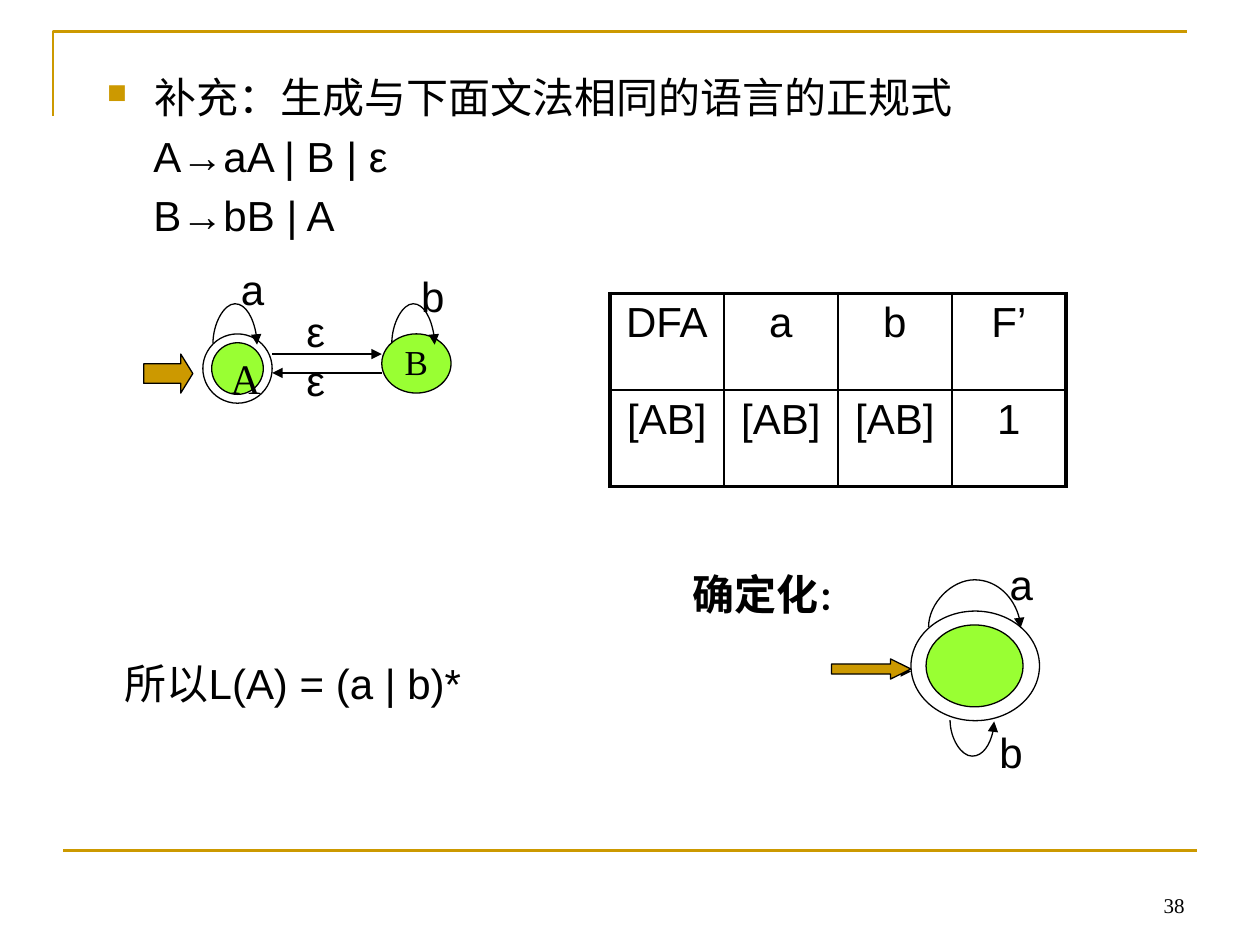
"""Build a slide that turns a grammar into an automaton, its DFA and a regular expression."""
from lxml.etree import SubElement
from pptx import Presentation
from pptx.dml.color import RGBColor
from pptx.enum.shapes import MSO_CONNECTOR, MSO_SHAPE
from pptx.enum.text import MSO_ANCHOR, PP_ALIGN
from pptx.oxml.ns import qn
from pptx.util import Inches, Pt

HUES = {"ink": "000000", "gold": "CC9900", "lime": "99FF33", "white": "FFFFFF"}
SANS, SERIF = "Arial", "Times New Roman"
BASE = {"name": SANS, "size": Pt(24), "bold": False}
ROMAN = {"name": SERIF}
BOLD = {"bold": True}
TIGHT = {"line_spacing": 0.9}
THIN, THICK = 0.75, 2.25

RULES = ["补充：生成与下面文法相同的语言的正规式", "A→aA | B | ε", "B→bB | A"]
GRID = [["DFA", "a", "b", "F’"], ["[AB]", "[AB]", "[AB]", "1"]]
FRAME = [(0.42, 0.92), (0.42, 0.25), (9.42, 0.25)]
NODES = [
    ("OVAL", "lime", 3.03, 2.65, 0.55, 0.47, ()),
    ("OVAL", "white", 1.61, 2.65, 0.55, 0.55, ()),
    ("OVAL", "lime", 1.68, 2.72, 0.41, 0.41, ()),
    ("RIGHT_ARROW", "gold", 1.14, 2.81, 0.39, 0.31, (0.5, 0.31)),
    ("OVAL", "white", 7.23, 4.85, 1.02, 0.87, ()),
    ("OVAL", "lime", 7.35, 4.96, 0.77, 0.65, ()),
]
ENTRY = ("RIGHT_ARROW", "gold", 6.6, 5.23, 0.63, 0.16, (0.5, 1.01))
EDGES = [
    (1.68, 2.72, 1.68, 2.72),
    (2.16, 2.81, 3.03, 2.81),
    (3.03, 2.96, 2.16, 2.96),
    (7.35, 4.96, 7.35, 4.96),
    (6.99, 5.33, 7.23, 5.33),
]
LOOPS = [
    (1.69, 2.04, 2.73, -0.32),
    (3.11, 3.45, 2.73, -0.32),
    (7.37, 8.1, 4.98, -0.38),
    (7.54, 7.89, 5.72, 0.29),
]
LABELS = [
    ([("所以L(A) = (a | b)*", {})], 0.83, 5.17, 2.99, 0.5, {}),
    ([("B", ROMAN | {"size": Pt(20)})], 3.03, 2.65, 0.55, 0.47, {}),
    ([("A", ROMAN)], 1.73, 2.75, 0.41, 0.41, {}),
    ([("a", {})], 1.81, 2.04, 0.39, 0.5, {}),
    ([("b", {})], 3.24, 2.1, 0.39, 0.5, {}),
    ([("ε", {})], 2.3, 2.81, 0.41, 0.46, TIGHT),
    ([("ε", {})], 2.3, 2.42, 0.41, 0.46, TIGHT),
    ([("a", {})], 7.91, 4.38, 0.39, 0.5, {}),
    ([("b", {})], 7.83, 5.72, 0.39, 0.5, {}),
    ([("确定化", BOLD), ("：", BOLD | {"size": Pt(18)})], 5.39, 4.46, 1.46, 0.5, {}),
]


def tint(hue):
    return RGBColor.from_string(HUES[hue])


def apply(item, looks):
    for key, value in looks.items():
        setattr(item, key, value)


def write(para, text, looks):
    run = para.add_run()
    run.text = text
    apply(run.font, BASE | looks)
    run.font.color.rgb = tint("ink")


def stroke(item, hue="ink", width=THIN):
    item.line.color.rgb = tint(hue)
    item.line.width = Pt(width)


def add_box(shapes, spot, wrap=False):
    frame = shapes.add_textbox(*map(Inches, spot)).text_frame
    frame.word_wrap = wrap
    return frame


def add_node(shapes, kind, hue, x, y, w, h, bends):
    node = shapes.add_shape(getattr(MSO_SHAPE, kind), *map(Inches, (x, y, w, h)))
    node.shadow.inherit = False
    node.fill.solid()
    node.fill.fore_color.rgb = tint(hue)
    stroke(node)
    for i, bend in enumerate(bends):
        node.adjustments[i] = bend


def add_line(shapes, ends, kind=MSO_CONNECTOR.STRAIGHT, hue="ink", width=THIN, tip=True):
    line = shapes.add_connector(kind, *map(Inches, ends))
    stroke(line, hue, width)
    props = line._element.spPr
    if tip:
        SubElement(props.find(qn("a:ln")), qn("a:tailEnd"), type="triangle")
    SubElement(props, qn("a:effectLst"))
    return line


def add_loop(shapes, left, right, y, rise):
    thin = 0.01
    mid, half = (left + right) / 2, (right - left) / 2
    ends = (mid - thin / 2, y + half, mid + thin / 2, y - half)
    props = add_line(shapes, ends, MSO_CONNECTOR.CURVE)._element.spPr
    props.find(qn("a:xfrm")).set("rot", "5400000")
    geom = props.find(qn("a:prstGeom"))
    guides = geom.find(qn("a:avLst"))
    if guides is None:
        guides = SubElement(geom, qn("a:avLst"))
    bend = round(rise / thin * 100000)
    SubElement(guides, qn("a:gd"), name="adj1", fmla=f"val {bend}")


def add_rules(shapes):
    frame = add_box(shapes, (0.75, 0.52, 8.9, 1.26), True)
    for i, text in enumerate(RULES):
        para = frame.add_paragraph() if i else frame.paragraphs[0]
        left, first = (0.73, -0.36) if i else (0.38, -0.38)
        props = para._p.get_or_add_pPr()
        props.set("marL", str(Inches(left)))
        props.set("indent", str(Inches(first)))
        if i:
            para.space_before = Pt(4.8)
        else:
            color = SubElement(props, qn("a:buClr"))
            SubElement(color, qn("a:srgbClr"), val=HUES["gold"])
            SubElement(props, qn("a:buSzPct"), val="65000")
            SubElement(props, qn("a:buChar"), char="■")
        write(para, text, {})


def add_grid(shapes):
    rows, cols = len(GRID), len(GRID[0])
    spot = map(Inches, (4.84, 2.33, 3.62, 1.53))
    table = shapes.add_table(rows, cols, *spot).table
    apply(table, {"first_row": False, "horz_banding": False})
    for r, row in enumerate(GRID):
        for c, text in enumerate(row):
            cell = table.cell(r, c)
            para = cell.text_frame.paragraphs[0]
            para.alignment = PP_ALIGN.CENTER
            write(para, text, {})
            outer = {"L": c == 0, "R": c == cols - 1, "T": r == 0, "B": r == rows - 1}
            props = cell._tc.get_or_add_tcPr()
            for side, edge in outer.items():
                width = Pt(THICK if edge else 1)
                line = SubElement(props, qn(f"a:ln{side}"), w=str(width))
                fill = SubElement(line, qn("a:solidFill"))
                SubElement(fill, qn("a:srgbClr"), val=HUES["ink"])
            cell.fill.background()


def add_frame(shapes):
    start, *rest = [tuple(map(Inches, point)) for point in FRAME]
    build = shapes.build_freeform(*start)
    build.add_line_segments(rest, close=False)
    edge = build.convert_to_shape()
    edge.shadow.inherit = False
    edge.fill.background()
    stroke(edge, "gold", 1.5)
    add_line(shapes, (0.5, 6.75, 9.5, 6.75), hue="gold", width=1.5, tip=False)
    foot = add_box(shapes, (7.17, 6.83, 2.33, 0.5), True)
    foot.vertical_anchor = MSO_ANCHOR.BOTTOM
    foot.paragraphs[0].alignment = PP_ALIGN.RIGHT
    write(foot.paragraphs[0], "38", ROMAN | {"size": Pt(12)})


def main():
    deck = Presentation()
    apply(deck, {"slide_width": Inches(10), "slide_height": Inches(7.5)})
    shapes = deck.slides.add_slide(deck.slide_layouts[6]).shapes
    add_frame(shapes)
    add_rules(shapes)
    add_grid(shapes)
    for node in NODES:
        add_node(shapes, *node)
    for ends in EDGES:
        add_line(shapes, ends)
    for loop in LOOPS:
        add_loop(shapes, *loop)
    add_node(shapes, *ENTRY)
    for runs, *spot, looks in LABELS:
        para = add_box(shapes, spot).paragraphs[0]
        apply(para, {"alignment": PP_ALIGN.CENTER} | looks)
        for text, font in runs:
            write(para, text, font)
    deck.save("out.pptx")


if __name__ == "__main__":
    main()
